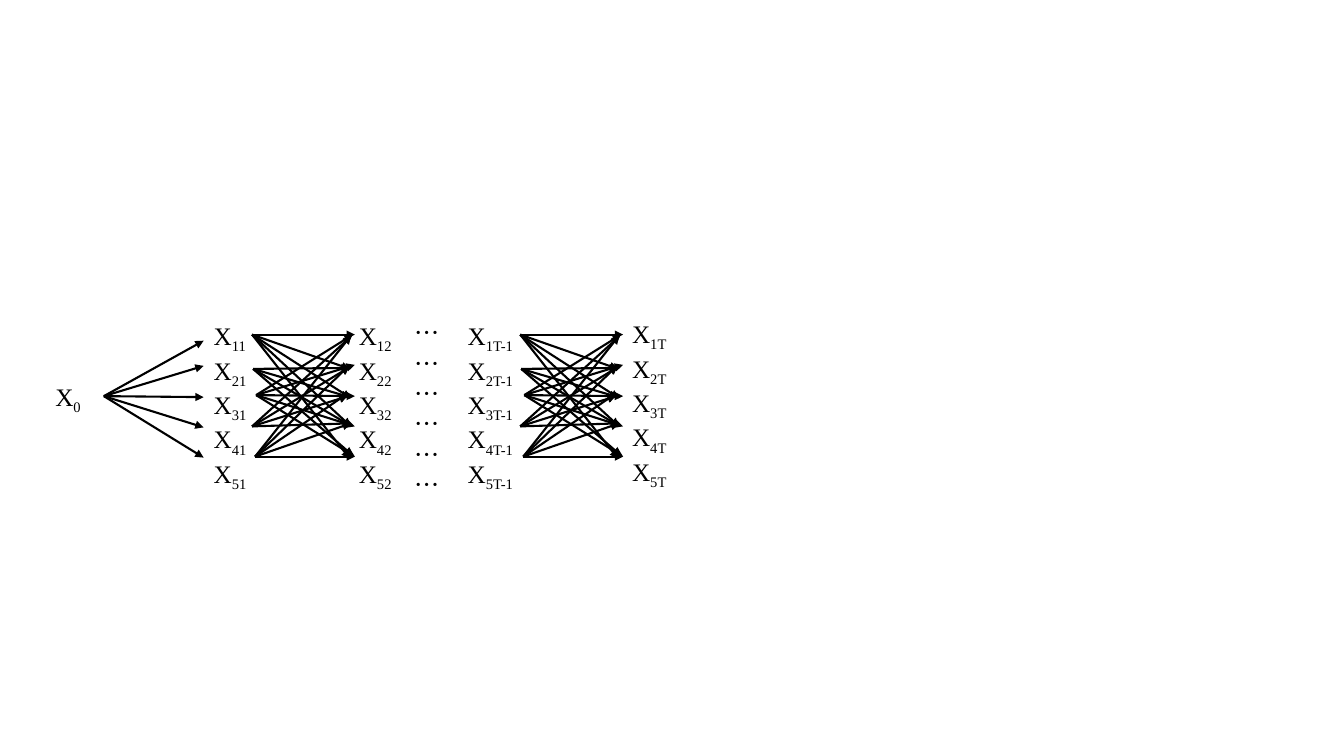
"""Draw a trellis of states X over time, linked by arrows."""
from lxml import etree
from pptx import Presentation
from pptx import util as u
from pptx.dml.color import RGBColor
from pptx.enum import shapes, text
from pptx.oxml import ns

BLACK = RGBColor(0, 0, 0)
SERIF = "Times New Roman"
CJK = "Noto Sans CJK SC"
ROOT = (1.03, 3.93)
FAN = [(2.02, y) for y in (3.38, 3.63, 3.94, 4.24, 4.54)]
SHIFT = 2.66
MESH = {
    (2.5, 3.32): [(3.52, 3.32), (3.47, 3.66), (3.48, 3.95), (3.48, 4.23), (3.47, 4.55)],
    (2.51, 3.66): [(3.47, 3.65), (3.47, 3.94), (3.49, 4.23), (3.5, 4.52)],
    (2.54, 3.92): [(3.5, 3.32), (3.52, 3.62), (3.52, 3.93), (3.52, 4.23), (3.52, 4.53)],
    (2.5, 4.23): [(3.49, 3.33), (3.47, 3.64), (3.45, 3.93), (3.48, 4.2)],
    (2.53, 4.53): [(3.48, 3.33), (3.46, 3.63), (3.44, 3.91), (3.48, 4.2), (3.52, 4.53)],
}


def assign(item, **values):
    """Set each named value on an item."""
    for name, value in values.items():
        setattr(item, name, value)


def add_frame(slide, box, wrap):
    """Add a text box and return its frame."""
    frame = slide.shapes.add_textbox(*map(u.Inches, box)).text_frame
    assign(frame, word_wrap=wrap, auto_size=text.MSO_AUTO_SIZE.SHAPE_TO_FIT_TEXT)
    return frame


def add_para(frame, index):
    """Return the first paragraph or a new one."""
    return frame.add_paragraph() if index else frame.paragraphs[0]


def add_run(para, words, face):
    """Add a black run and return its properties element."""
    run = para.add_run()
    run.text = words
    assign(run.font, size=u.Pt(18), name=face)
    run.font.color.rgb = BLACK
    return run._r.get_or_add_rPr()


def add_states(slide, box, subs, wrap=False):
    """Add a column of X labels with subscripts."""
    frame = add_frame(slide, box, wrap)
    for index, sub in enumerate(subs):
        para = add_para(frame, index)
        add_run(para, "X", SERIF)
        add_run(para, sub, SERIF).set("baseline", "-25000")


def add_dots(slide, box, count):
    """Add a column of ellipses."""
    frame = add_frame(slide, box, True)
    for index in range(count):
        para = add_para(frame, index)
        para.line_spacing = u.Pt(21.7)
        props = add_run(para, "…", CJK)
        etree.SubElement(props, ns.qn("a:ea"), typeface=CJK)


def add_arrow(slide, start, end):
    """Add a black arrow between two points."""
    ends = map(u.Inches, (*start, *end))
    arrow = slide.shapes.add_connector(shapes.MSO_CONNECTOR.STRAIGHT, *ends)
    arrow.line.width = u.Pt(1.5)
    arrow.line.color.rgb = BLACK
    etree.SubElement(arrow.line._get_or_add_ln(), ns.qn("a:tailEnd"), type="triangle")
    etree.SubElement(arrow._element.spPr, ns.qn("a:effectLst"))


def add_mesh(slide, shift):
    """Add the arrows between two columns of states."""
    for (left, top), tips in MESH.items():
        for x, y in tips:
            add_arrow(slide, (left + shift, top), (x + shift, y))


def main():
    """Build and save the slide."""
    deck = Presentation()
    assign(deck, slide_width=u.Inches(13.33), slide_height=u.Inches(7.5))
    slide = deck.slides.add_slide(deck.slide_layouts[6])
    add_states(slide, (0.45, 3.73, 0.86, 0.4), ["0"], True)
    for left, top, width, time in (
        (2.02, 3.13, 0.55, "1"),
        (3.46, 3.13, 0.55, "2"),
        (4.54, 3.13, 0.71, "T-1"),
        (6.17, 3.11, 0.58, "T"),
    ):
        subs = [f"{row}{time}" for row in range(1, 6)]
        add_states(slide, (left, top, width, 1.62), subs)
    for tip in FAN:
        add_arrow(slide, ROOT, tip)
    for shift in (0, SHIFT):
        add_mesh(slide, shift)
    add_dots(slide, (4.01, 3.1, 0.42, 1.92), 6)
    deck.save("out.pptx")


if __name__ == "__main__":
    main()
